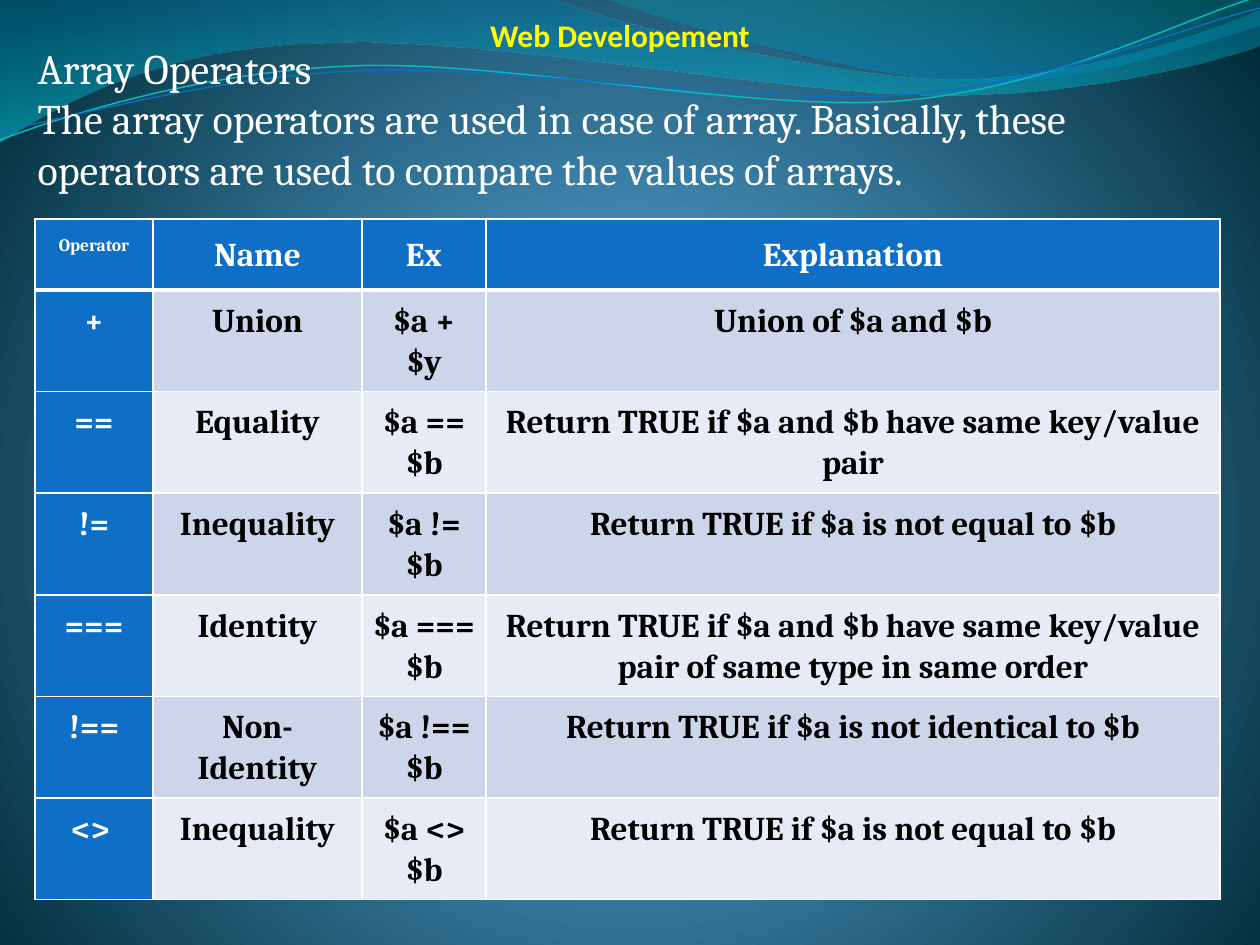
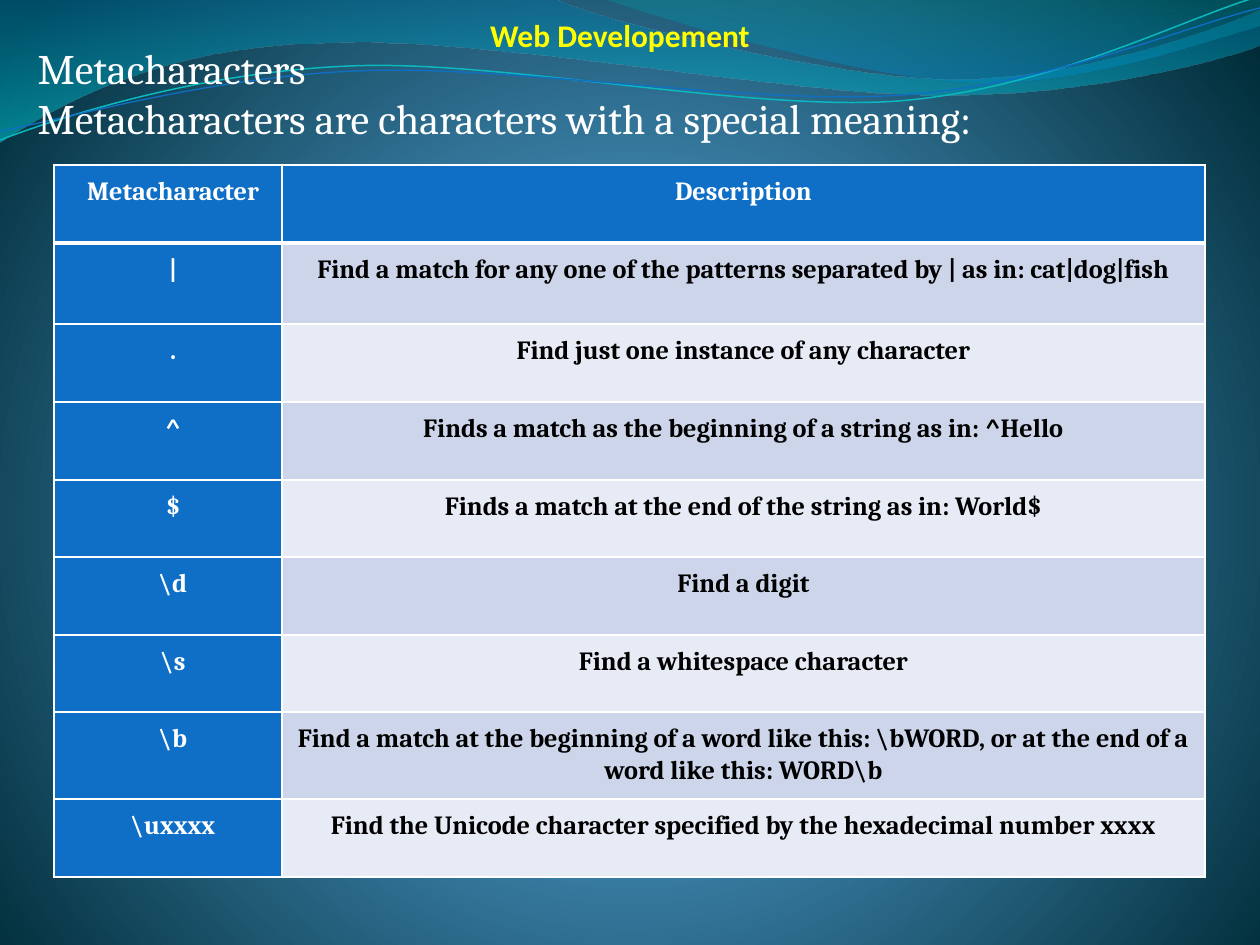
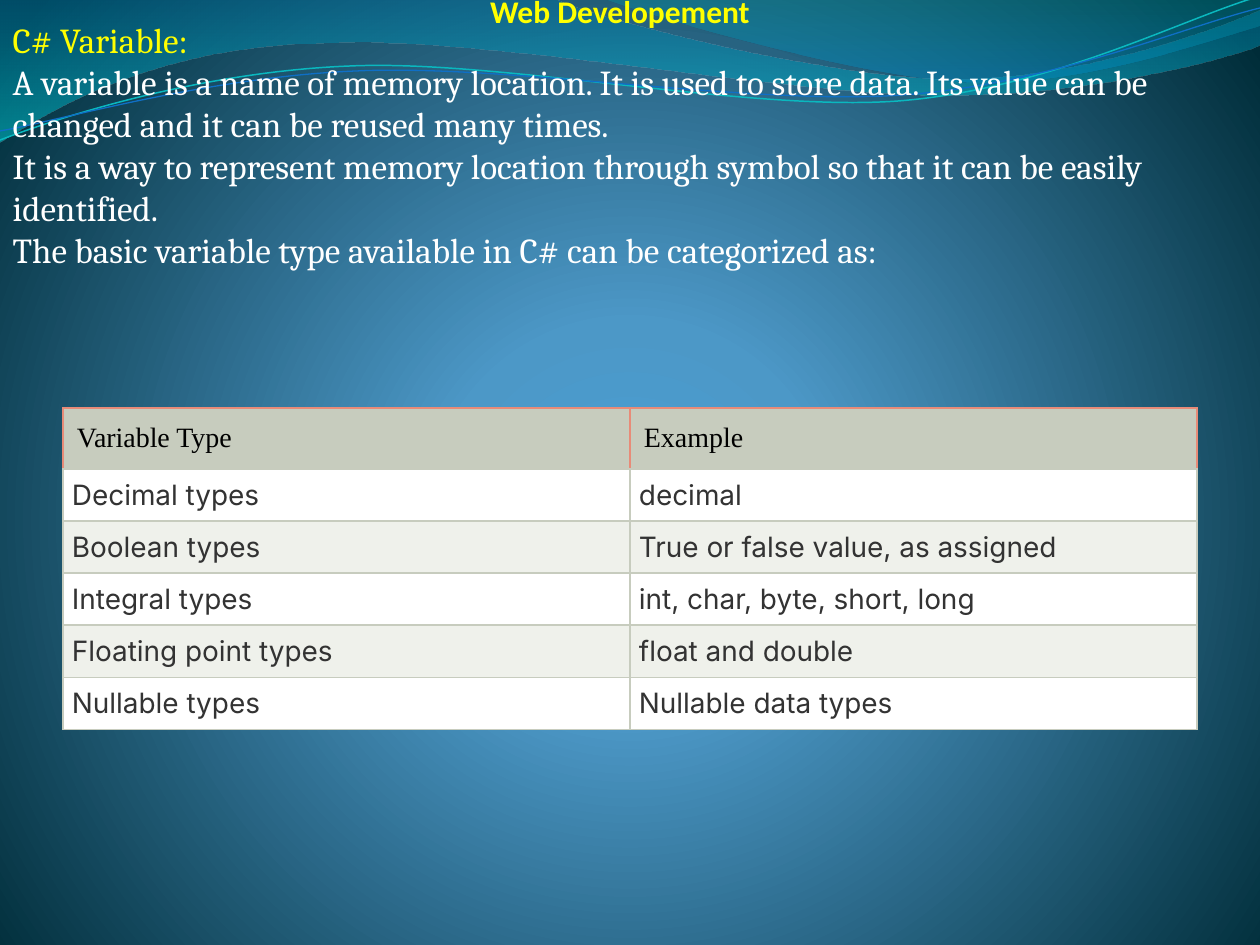
"""Build three web development lecture slides with tables on a shared wave background."""
from dataclasses import dataclass

from lxml.etree import SubElement
from pptx import Presentation
from pptx.dml.color import RGBColor
from pptx.enum.text import MSO_ANCHOR, MSO_AUTO_SIZE, PP_ALIGN
from pptx.oxml.ns import qn
from pptx.util import Inches, Pt

WIDTH, HEIGHT = 1260, 945
EMU_PER_PX = Inches(10) / WIDTH


@dataclass(frozen=True)
class Theme:
    title_font: str = "Calibri"
    body_font: str = "Cambria"
    title_size: int = 18
    yellow: str = "FFFF00"
    white: str = "FFFFFF"
    blue: str = "0F6FC6"
    cyan: str = "0AB8BF"
    background: tuple = ((0, "4AA0D6", 100), (25, "4C98C7", 100), (100, "002C38", 100))
    broad_wave: tuple = ((0, "0074A1", 45), (100, "00C6CF", 55))
    corner_wave: tuple = ((0, "00A1A9", 30), (80, "008BBF", 45))


@dataclass(frozen=True)
class TableLook:
    size: int
    header_font: str = "Cambria"
    font: str = "Cambria"
    bold: bool = True
    header_fill: str = "0F6FC6"
    header_color: str = "FFFFFF"
    label_fill: str = "0F6FC6"
    label_color: str = "FFFFFF"
    bands: tuple = ("CCD5EA", "E7EBF5")
    color: str = "000000"
    border: tuple = ("FFFFFF", 1)
    header_border: tuple = ("FFFFFF", 1)
    header_rule: tuple = ("FFFFFF", 3)
    header_inset: int = 10
    inset: int = 10
    label_indent: int = 10
    header_align: PP_ALIGN = PP_ALIGN.CENTER
    align: PP_ALIGN = PP_ALIGN.CENTER
    line_spacing: float = 1.07
    space: int = 0


THEME = Theme()
OPERATOR_LOOK = TableLook(size=19, header_inset=15)
PATTERN_LOOK = TableLook(size=15, label_indent=20, space=15)
VARIABLE_LOOK = TableLook(
    size=16, header_font="Times New Roman", font="Inter", bold=False,
    header_fill="C7CCBE", header_color="000000", label_fill="", label_color="333333",
    bands=("FFFFFF", "EFF1EB"), color="333333", border=("C7CCBE", 0.75),
    header_border=("E88B78", 0.75), header_rule=("C7CCBE", 0.75),
    header_inset=14, inset=9, label_indent=9,
    header_align=PP_ALIGN.LEFT, align=PP_ALIGN.JUSTIFY, line_spacing=1.0,
)

TITLE = "Web Developement"
SLIDES = [
    {
        "title_top": 10,
        "body_box": (25, 36, 1211, 217),
        "body_size": 24,
        "lead_color": THEME.white,
        "body": [
            "Array Operators",
            "The array operators are used in case of array. Basically, these operators "
            "are used to compare the values of arrays.",
        ],
        "look": OPERATOR_LOOK,
        "table_box": (35, 219, 1185, 670),
        "columns": [118, 209, 124, 734],
        "heights": [60, 48, 76, 76, 78, 76, 76],
        "special_sizes": {"Operator": 10},
        "rows": [
            ("Operator", "Name", "Ex", "Explanation"),
            ("+", "Union", "$a + $y", "Union of $a and $b"),
            ("==", "Equality", "$a == $b",
             "Return TRUE if $a and $b have same key/value pair"),
            ("!=", "Inequality", "$a != $b", "Return TRUE if $a is not equal to $b"),
            ("===", "Identity", "$a === $b",
             "Return TRUE if $a and $b have same key/value pair of same type in same order"),
            ("!==", "Non-Identity", "$a !== $b",
             "Return TRUE if $a is not identical to $b"),
            ("<> ", "Inequality", "$a <> $b", "Return TRUE if $a is not equal to $b"),
        ],
    },
    {
        "title_top": 10,
        "body_box": (25, 36, 1211, 165),
        "body_size": 24,
        "lead_color": THEME.white,
        "body": [
            "Metacharacters",
            "Metacharacters are characters with a special meaning:",
        ],
        "look": PATTERN_LOOK,
        "table_box": (54, 165, 1151, 713),
        "columns": [228, 923],
        "heights": [78, 81, 78, 78, 77, 78, 77, 87, 78],
        "special_sizes": {},
        "rows": [
            ("Metacharacter", "Description"),
            ("|", "Find a match for any one of the patterns separated by | as in: cat|dog|fish"),
            (".", "Find just one instance of any character"),
            ("^", "Finds a match as the beginning of a string as in: ^Hello"),
            ("$", "Finds a match at the end of the string as in: World$"),
            (r"\d", "Find a digit"),
            (r"\s", "Find a whitespace character"),
            (r"\b", r"Find a match at the beginning of a word like this: \bWORD, "
                    r"or at the end of a word like this: WORD\b"),
            (r"\uxxxx", "Find the Unicode character specified by the hexadecimal number xxxx"),
        ],
    },
    {
        "title_top": -14,
        "body_box": (0, 12, 1163, 352),
        "body_size": 20,
        "lead_color": THEME.yellow,
        "body": [
            "C# Variable:",
            "A variable is a name of memory location. It is used to store data. "
            "Its value can be changed and it can be reused many times.",
            "It is a way to represent memory location through symbol so that it can be "
            "easily identified.",
            "The basic variable type available in C# can be categorized as:",
        ],
        "look": VARIABLE_LOOK,
        "table_box": (63, 408, 1134, 322),
        "columns": [567, 567],
        "heights": [61, 52, 52, 52, 53, 52],
        "special_sizes": {},
        "rows": [
            ("Variable Type", "Example"),
            ("Decimal types", "decimal"),
            ("Boolean types", "True or false value, as assigned"),
            ("Integral types", "int, char, byte, short, long"),
            ("Floating point types", "float and double"),
            ("Nullable types", "Nullable data types"),
        ],
    },
]

BROAD_WAVE = [
    (0, 0), (554, -1), (600, 21, 837, 79, 955, 79), (1075, 79, 1207, 33, 1260, 11),
    (1261, 45), (1239, 55, 1096, 96, 940, 95), (784, 95, 481, 35, 324, 43),
    (163, 45, 58, 105, -1, 142), (0, 0),
]
CORNER_WAVE = [
    (604, -1), (641, 14, 859, 78, 969, 82), (1079, 87, 1211, 40, 1260, 26), (1260, 0),
    (604, -1),
]
CYAN_CURVE = [
    (0, 140), (60, 117, 199, 72, 349, 66), (498, 59, 747, 112, 898, 101),
    (1050, 89, 1182, 19, 1257, -3),
]
BLUE_CURVE = [
    (0, 131), (59, 121, 207, 77, 357, 71), (508, 64, 751, 106, 903, 95),
    (1053, 84, 1186, 26, 1260, 8),
]


def px(length):
    return round(length * EMU_PER_PX)


def place(shape, left, top, width, height):
    shape.left, shape.top, shape.width, shape.height = map(px, (left, top, width, height))


def set_gradient(fill, owner, stops, circle=False):
    fill.solid()
    fill.fore_color.rgb = RGBColor.from_string(THEME.blue)
    solid = owner.find(".//" + qn("a:solidFill"))
    parent = solid.getparent()
    gradient = SubElement(parent, qn("a:gradFill"), rotWithShape="1")
    stop_list = SubElement(gradient, qn("a:gsLst"))
    for position, color, opacity in stops:
        stop = SubElement(stop_list, qn("a:gs"), pos=str(position * 1000))
        rgb = SubElement(stop, qn("a:srgbClr"), val=color)
        if opacity < 100:
            SubElement(rgb, qn("a:alpha"), val=str(opacity * 1000))
    if circle:
        shade = SubElement(gradient, qn("a:path"), path="circle")
        SubElement(shade, qn("a:fillToRect"), l="10000", t="110000", r="10000", b="100000")
    else:
        SubElement(gradient, qn("a:lin"), ang="5400000", scaled="0")
    parent.replace(solid, gradient)


def add_outline(slide, outline, closed):
    points = [
        (px(numbers[i]), px(numbers[i + 1]))
        for numbers in outline for i in range(0, len(numbers), 2)
    ]
    builder = slide.shapes.build_freeform(*points[0])
    builder.add_line_segments(points[1:], close=closed)
    shape = builder.convert_to_shape()
    shape.shadow.inherit = False
    bend_segments(shape, outline)
    return shape


def bend_segments(shape, outline):
    lines = iter(shape.element.findall(".//" + qn("a:lnTo")))
    for segment in outline[1:]:
        first = next(lines)
        if len(segment) == 2:
            continue
        trace = first.getparent()
        curve = SubElement(trace, qn("a:cubicBezTo"))
        trace.replace(first, curve)
        curve.append(first[0])
        for _ in range(2):
            line = next(lines)
            curve.append(line[0])
            trace.remove(line)


def decorate_master(presentation, slide):
    master = presentation.slide_master
    set_gradient(master.background.fill, master.element, THEME.background, circle=True)
    decorations = []
    for outline, stops in ((BROAD_WAVE, THEME.broad_wave), (CORNER_WAVE, THEME.corner_wave)):
        wave = add_outline(slide, outline, True)
        set_gradient(wave.fill, wave.element, stops)
        wave.line.fill.background()
        decorations.append(wave)
    for outline, color, width in (
        (CYAN_CURVE, THEME.cyan, 0.85), (BLUE_CURVE, THEME.blue, 0.75),
    ):
        curve = add_outline(slide, outline, False)
        curve.fill.background()
        curve.line.color.rgb = RGBColor.from_string(color)
        curve.line.width = Pt(width)
        decorations.append(curve)
    for number, shape in enumerate(decorations, start=100):
        shape.element.nvSpPr.cNvPr.set("id", str(number))
        master.shapes.element.append(shape.element)


def format_paragraph(paragraph, font, size, color, bold, align, line_spacing=1.0, space=0):
    paragraph.alignment = align
    paragraph.line_spacing = line_spacing
    paragraph.space_before = paragraph.space_after = Pt(space)
    for run in paragraph.runs:
        run.font.name = font
        run.font.size = Pt(size)
        run.font.bold = bold
        run.font.color.rgb = RGBColor.from_string(color)


def prepare_frame(shape, box):
    place(shape, *box)
    frame = shape.text_frame
    frame.word_wrap = True
    frame.auto_size = MSO_AUTO_SIZE.NONE
    frame.vertical_anchor = MSO_ANCHOR.TOP
    return frame


def fill_text(slide, content):
    title_frame = prepare_frame(slide.shapes.title, (226, content["title_top"], 788, 50))
    title_frame.text = TITLE
    format_paragraph(title_frame.paragraphs[0], THEME.title_font, THEME.title_size,
                     THEME.yellow, True, PP_ALIGN.CENTER)
    body_frame = prepare_frame(slide.placeholders[1], content["body_box"])
    body_frame.text = "\n".join(content["body"])
    for index, paragraph in enumerate(body_frame.paragraphs):
        color = THEME.white if index else content["lead_color"]
        format_paragraph(paragraph, THEME.body_font, content["body_size"], color,
                         False, PP_ALIGN.LEFT)
        properties = paragraph._p.get_or_add_pPr()
        properties.set("marL", "0")
        properties.set("indent", "0")
        SubElement(properties, qn("a:buNone"))


def set_borders(cell, sides):
    properties = cell._tc.get_or_add_tcPr()
    for side, (color, width) in zip("LRTB", sides):
        line = SubElement(properties, qn(f"a:ln{side}"), w=str(Pt(width)))
        fill = SubElement(line, qn("a:solidFill"))
        SubElement(fill, qn("a:srgbClr"), val=color)


def format_cell(cell, row, column, text, look, size):
    header, label = row == 0, column == 0
    if header:
        sides = (look.header_border,) * 3 + (look.header_rule,)
        fill, color = look.header_fill, look.header_color
        font, align, inset = look.header_font, look.header_align, look.header_inset
    else:
        top = look.header_rule if row == 1 else look.border
        sides = (look.border, look.border, top, look.border)
        band = look.bands[(row - 1) % 2]
        fill = (look.label_fill or band) if label else band
        color = look.label_color if label else look.color
        font, align, inset = look.font, look.align, look.inset
    set_borders(cell, sides)
    cell.fill.solid()
    cell.fill.fore_color.rgb = RGBColor.from_string(fill)
    cell.margin_right = cell.margin_top = cell.margin_bottom = px(inset)
    cell.margin_left = px(max(inset, look.label_indent) if label else inset)
    cell.vertical_anchor = MSO_ANCHOR.TOP
    cell.text_frame.text = text
    format_paragraph(cell.text_frame.paragraphs[0], font, size, color, look.bold,
                     align, look.line_spacing, look.space)


def add_content_table(slide, content):
    rows, columns = content["rows"], content["columns"]
    box = content["table_box"]
    frame = slide.shapes.add_table(len(rows), len(columns), *map(px, box))
    table = frame.table
    table.horz_banding = False
    for column, width in zip(table.columns, columns):
        column.width = px(width)
    for row, height in zip(table.rows, content["heights"]):
        row.height = px(height)
    place(frame, *box)
    look = content["look"]
    for row, texts in enumerate(rows):
        for column, text in enumerate(texts):
            size = content["special_sizes"].get(text, look.size)
            format_cell(table.cell(row, column), row, column, text, look, size)


def main():
    presentation = Presentation()
    presentation.slide_width, presentation.slide_height = px(WIDTH), px(HEIGHT)
    for index, content in enumerate(SLIDES):
        slide = presentation.slides.add_slide(presentation.slide_layouts[1])
        if index == 0:
            decorate_master(presentation, slide)
        fill_text(slide, content)
        add_content_table(slide, content)
    presentation.save("out.pptx")


if __name__ == "__main__":
    main()
